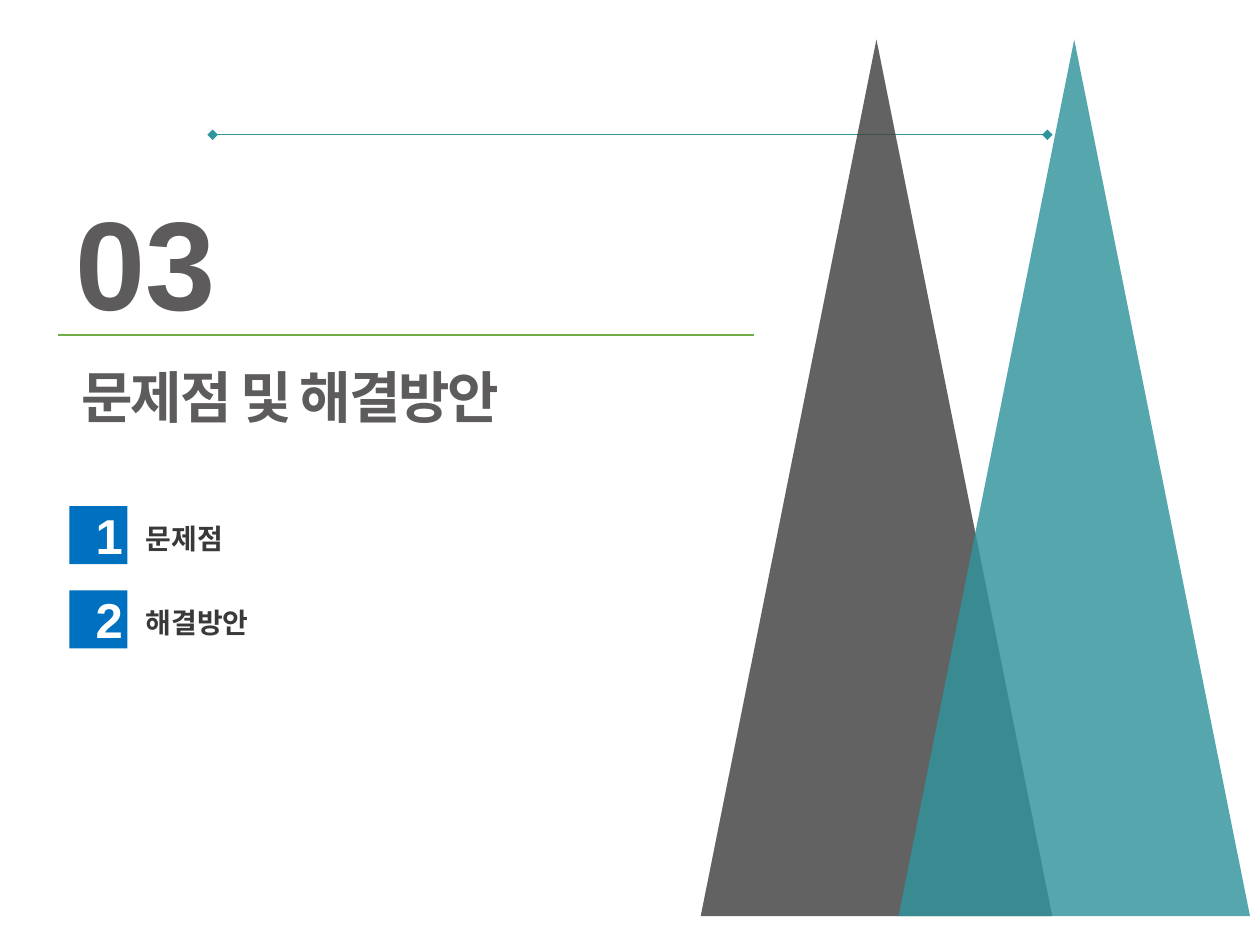
from lxml.etree import SubElement
from pptx import Presentation
from pptx.dml.color import RGBColor
from pptx.enum.shapes import MSO_CONNECTOR, MSO_SHAPE
from pptx.enum.text import MSO_ANCHOR, PP_ALIGN
from pptx.oxml.ns import qn
from pptx.util import Pt

TEAL = RGBColor(0x30, 0x94, 0x9C)
CHARCOAL = RGBColor(0x40, 0x40, 0x40)
HEADING_GRAY = RGBColor(0x5D, 0x5B, 0x5B)
LABEL_GRAY = RGBColor(0x3A, 0x38, 0x38)
GREEN = RGBColor(0x70, 0xAD, 0x47)
BLUE = RGBColor(0x00, 0x70, 0xC0)
WHITE = RGBColor(0xFF, 0xFF, 0xFF)
LATIN_FONT = "Arial"
KOREAN_FONT = "Noto Sans CJK KR"


def add_text(page, text, left, top, width, height, size, color,
             font=LATIN_FONT, align=PP_ALIGN.LEFT, wrap=True, spacing=None):
    """Add a bold one-line text box."""
    box = page.shapes.add_textbox(Pt(left), Pt(top), Pt(width), Pt(height))
    frame = box.text_frame
    frame.word_wrap = wrap
    frame.vertical_anchor = MSO_ANCHOR.TOP
    frame.text = text
    para = frame.paragraphs[0]
    para.alignment = align
    span = para.runs[0]
    span.font.size = Pt(size)
    span.font.bold = True
    span.font.name = font
    span.font.color.rgb = color
    properties = span._r.get_or_add_rPr()
    SubElement(properties, qn("a:ea")).set("typeface", KOREAN_FONT)
    if spacing is not None:
        properties.set("spc", str(round(spacing * 100)))


def add_shape(page, kind, left, top, width, height, color, opacity=None):
    """Add a filled preset shape without an outline."""
    shape = page.shapes.add_shape(kind, Pt(left), Pt(top), Pt(width), Pt(height))
    shape.shadow.inherit = False
    shape.fill.solid()
    shape.fill.fore_color.rgb = color
    shape.line.fill.background()
    if opacity is not None:
        fill = shape._element.spPr.find(qn("a:solidFill"))
        SubElement(fill[0], qn("a:alpha")).set("val", str(opacity * 1000))


def add_rule(page, left, top, width, color, diamonds=False):
    """Add a horizontal line, with diamond ends if asked."""
    rule = page.shapes.add_connector(
        MSO_CONNECTOR.STRAIGHT, Pt(left), Pt(top), Pt(left + width), Pt(top))
    rule.line.color.rgb = color
    rule.line.width = Pt(0.75)
    if diamonds:
        for end in ("a:headEnd", "a:tailEnd"):
            SubElement(rule.line._ln, qn(end)).set("type", "diamond")
    SubElement(rule._element.spPr, qn("a:effectLst"))


def add_heading(page, left, top, width, number, title):
    """Place the section number, the rule and the title."""
    add_text(page, number, left + 3, top, 94.3, 93.6, 72, HEADING_GRAY, wrap=False)
    add_text(page, title, left + 6.6, top + 101.5, 334.8, 45.4, 32, HEADING_GRAY,
             font=KOREAN_FONT, wrap=False, spacing=-1.3)
    add_rule(page, left, top + 89.3, width, GREEN)


def add_contents(page, left, top, pitch, labels):
    """Place a numbered square and a label for each topic."""
    side = 33.2
    for index, label in enumerate(labels):
        row_top = top + index * pitch
        add_shape(page, MSO_SHAPE.RECTANGLE, left, row_top, side, side, BLUE)
        add_text(page, label, left + 36.7, row_top + 5, 172, 26, 16, LABEL_GRAY)
        add_text(page, str(index + 1), left + 7.9, row_top - 4, 18, 41, 28, WHITE,
                 align=PP_ALIGN.CENTER)


def add_peaks(page, left, top, width, height):
    """Place two overlapping translucent triangles across the box."""
    peak_width = 200.9
    for peak_left, color in ((left, CHARCOAL), (left + width - peak_width, TEAL)):
        add_shape(page, MSO_SHAPE.ISOSCELES_TRIANGLE, peak_left, top,
                  peak_width, height, color, opacity=82)


def main():
    """Build the section slide and save it."""
    deck = Presentation()
    deck.slide_width, deck.slide_height = Pt(720), Pt(540)
    page = deck.slides.add_slide(deck.slide_layouts[6])
    add_rule(page, 121.5, 77, 477, TEAL, diamonds=True)
    add_heading(page, 33, 102.2, 397.6, "03", "문제점 및 해결방안")
    add_peaks(page, 400.4, 22.6, 313.9, 501)
    add_contents(page, 39.6, 289.2, 48.1, ("문제점", "해결방안"))
    deck.save("out.pptx")


if __name__ == "__main__":
    main()
